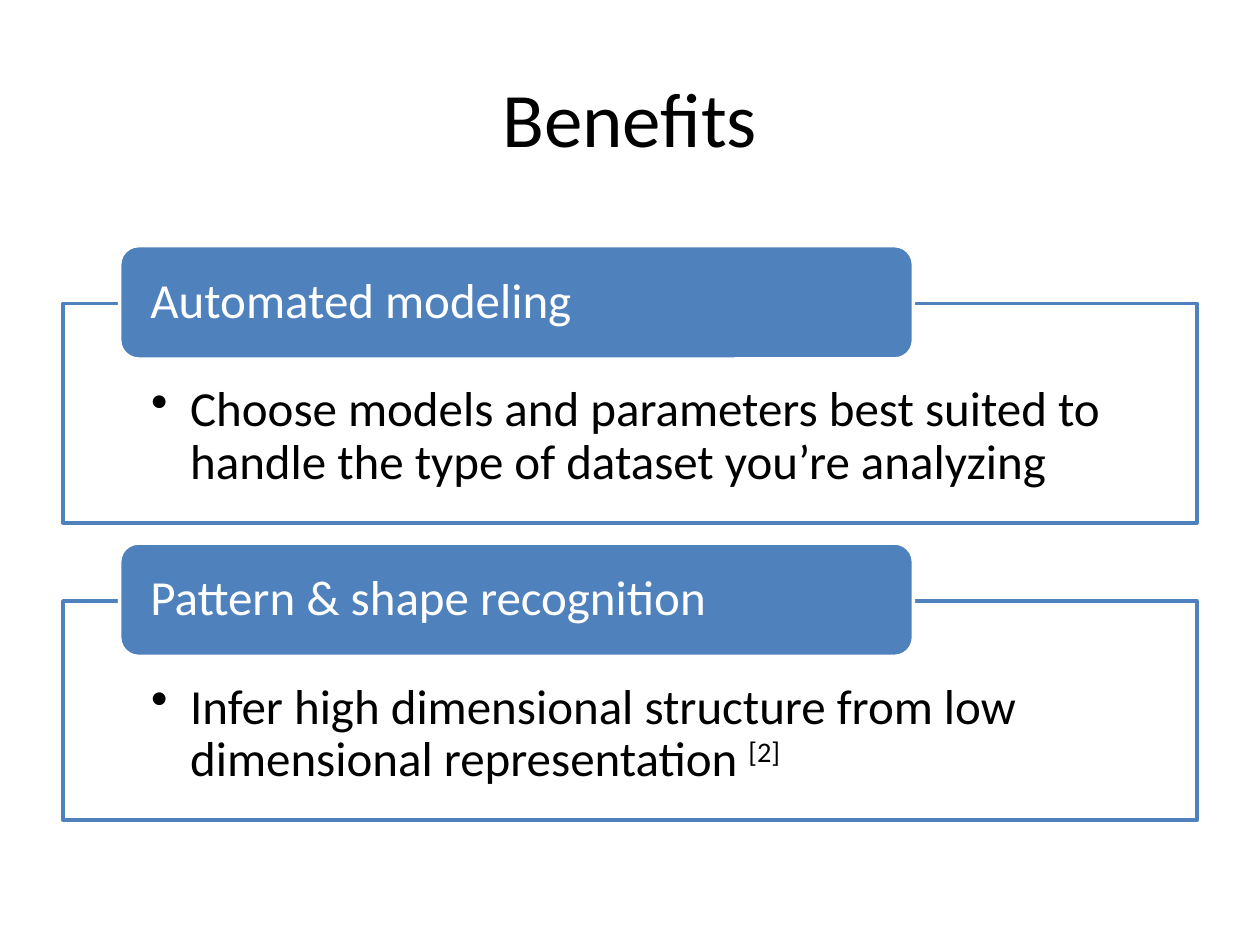
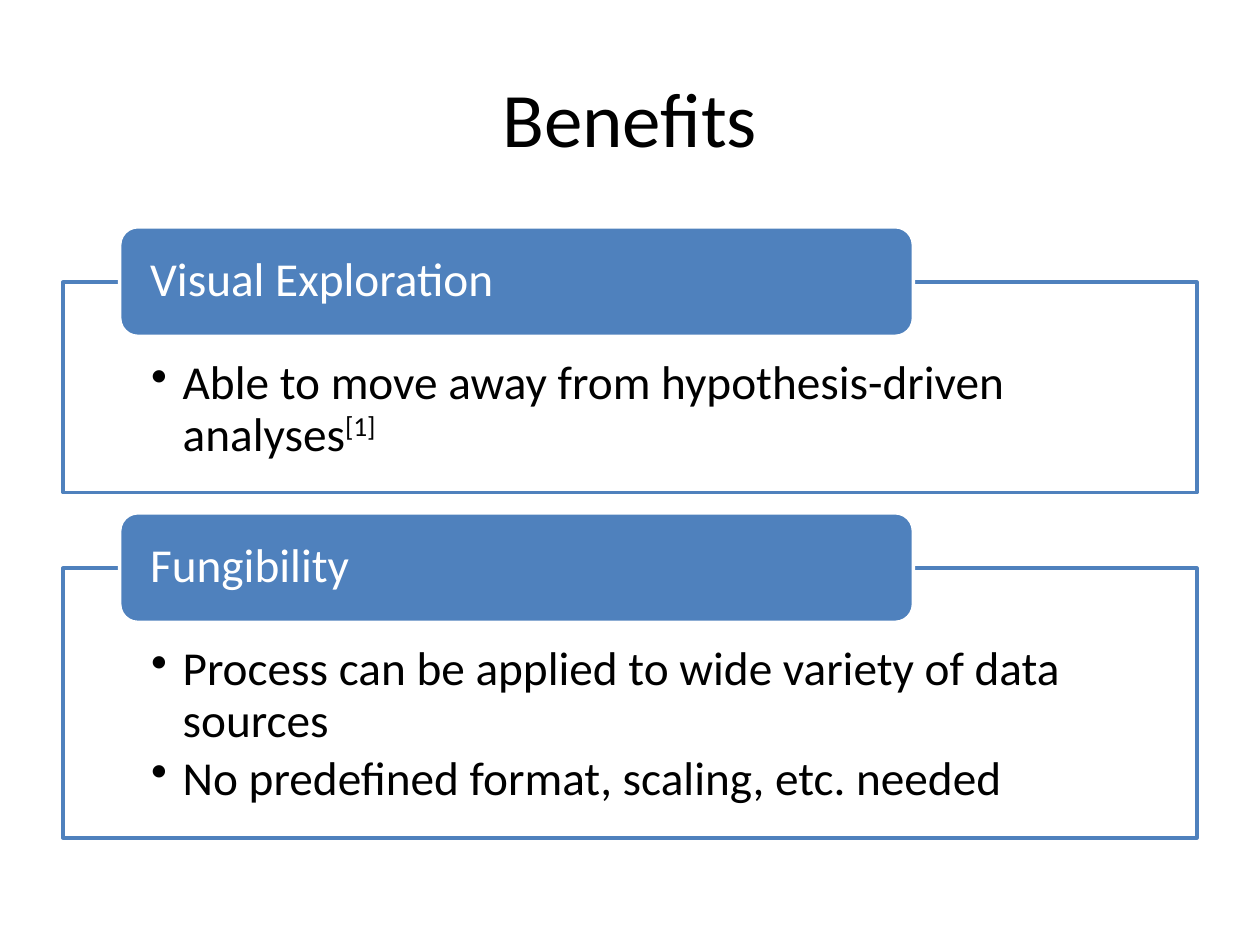
from dataclasses import dataclass

from lxml.etree import SubElement
from pptx import Presentation
from pptx.dml.color import RGBColor
from pptx.enum.shapes import MSO_SHAPE
from pptx.enum.text import MSO_ANCHOR, PP_ALIGN
from pptx.oxml.ns import qn
from pptx.shapes.autoshape import Shape
from pptx.slide import Slide
from pptx.text.text import TextFrame, _Paragraph
from pptx.util import Inches, Pt

BLUE = RGBColor(0x4F, 0x81, 0xBD)
WHITE = RGBColor(0xFF, 0xFF, 0xFF)
BLACK = RGBColor(0x00, 0x00, 0x00)
FONT = "Calibri"
TITLE_SIZE = 44
FRAME_LEFT, FRAME_WIDTH = 0.5, 9
TAB_LEFT, TAB_WIDTH = 0.95, 6.3
CARD_GAP = 0.16


@dataclass(frozen=True)
class Point:
    """A bullet with an optional superscript citation."""

    text: str
    citation: str = ""


@dataclass(frozen=True)
class Card:
    """A benefit with its heading, bullets and frame height."""

    heading: str
    points: tuple[Point, ...]
    frame_height: float


@dataclass(frozen=True)
class BenefitSlide:
    """The cards of one slide and the measures they share."""

    top: float
    tab_height: float
    tab_rise: float
    text_size: int
    bullet_indent: float
    inset_top: float
    inset_bottom: float
    cards: tuple[Card, ...]


BENEFIT_SLIDES = (
    BenefitSlide(1.95, 0.9, 0.46, 28, 0.31, 0.64, 0.22, (
        Card("Automated modeling", (
            Point("Choose models and parameters best suited to handle the type of dataset you’re analyzing"),
        ), 1.74),
        Card("Pattern & shape recognition", (
            Point("Infer high dimensional structure from low dimensional representation ", "[2]"),
        ), 1.74),
    )),
    BenefitSlide(1.8, 0.87, 0.44, 27, 0.25, 0.61, 0.21, (
        Card("Visual Exploration", (
            Point("Able to move away from hypothesis-driven analyses", "[1]"),
        ), 1.67),
        Card("Fungibility", (
            Point("Process can be applied to wide variety of data sources"),
            Point("No predefined format, scaling, etc. needed"),
        ), 2.14),
    )),
)


def style_paragraph(paragraph: _Paragraph, size: int, color: RGBColor,
                    align: PP_ALIGN = PP_ALIGN.LEFT) -> None:
    """Set the font and alignment of a paragraph."""
    paragraph.alignment = align
    paragraph.font.name = FONT
    paragraph.font.size = Pt(size)
    paragraph.font.color.rgb = color


def set_insets(text_frame: TextFrame, left: float, top: float, right: float, bottom: float) -> None:
    """Wrap the text and set its margins in inches."""
    text_frame.word_wrap = True
    text_frame.margin_left, text_frame.margin_top = Inches(left), Inches(top)
    text_frame.margin_right, text_frame.margin_bottom = Inches(right), Inches(bottom)


def add_box(slide: Slide, preset: MSO_SHAPE, left: float, top: float, width: float,
            height: float, fill: RGBColor, line: RGBColor) -> Shape:
    """Add a flat filled shape with a two-point outline."""
    box = slide.shapes.add_shape(preset, Inches(left), Inches(top), Inches(width), Inches(height))
    box.shadow.inherit = False
    box.fill.solid()
    box.fill.fore_color.rgb = fill
    box.line.color.rgb = line
    box.line.width = Pt(2)
    return box


def add_title(slide: Slide, title: str) -> None:
    """Add the centred slide title."""
    title_box = slide.shapes.add_textbox(Inches(0.5), Inches(0.3), Inches(9), Inches(1.25))
    text_frame = title_box.text_frame
    text_frame.word_wrap = True
    text_frame.vertical_anchor = MSO_ANCHOR.MIDDLE
    text_frame.text = title
    style_paragraph(text_frame.paragraphs[0], TITLE_SIZE, BLACK, PP_ALIGN.CENTER)


def write_point(paragraph: _Paragraph, point: Point, layout: BenefitSlide) -> None:
    """Write a bulleted point with its citation."""
    style_paragraph(paragraph, layout.text_size, BLACK)
    paragraph.line_spacing = 0.9
    paragraph.space_after = Pt(4)
    properties = paragraph._p.get_or_add_pPr()
    properties.set("marL", str(Inches(layout.bullet_indent)))
    properties.set("indent", str(-Inches(layout.bullet_indent)))
    bullet = properties.makeelement(qn("a:buChar"), {"char": "•"})
    properties.find(qn("a:defRPr")).addprevious(bullet)
    paragraph.add_run().text = point.text
    if point.citation:
        citation = paragraph.add_run()
        citation.text = point.citation
        citation._r.get_or_add_rPr().set("baseline", "30000")


def add_frame(slide: Slide, card: Card, layout: BenefitSlide, top: float) -> None:
    """Add the outlined frame holding the bullets."""
    frame = add_box(slide, MSO_SHAPE.RECTANGLE, FRAME_LEFT, top, FRAME_WIDTH,
                    card.frame_height, WHITE, BLUE)
    frame_color = frame._element.spPr.find(qn("a:solidFill"))[0]
    SubElement(frame_color, qn("a:alpha"), val="90000")
    text_frame = frame.text_frame
    set_insets(text_frame, 0.7, layout.inset_top, 0.7, layout.inset_bottom)
    text_frame.vertical_anchor = MSO_ANCHOR.TOP
    for index, point in enumerate(card.points):
        paragraph = text_frame.add_paragraph() if index else text_frame.paragraphs[0]
        write_point(paragraph, point, layout)


def add_tab(slide: Slide, heading: str, layout: BenefitSlide, top: float) -> None:
    """Add the rounded heading that overlaps the frame."""
    tab = add_box(slide, MSO_SHAPE.ROUNDED_RECTANGLE, TAB_LEFT, top, TAB_WIDTH,
                  layout.tab_height, BLUE, WHITE)
    text_frame = tab.text_frame
    set_insets(text_frame, 0.2, 0, 0.2, 0)
    text_frame.vertical_anchor = MSO_ANCHOR.MIDDLE
    text_frame.text = heading
    style_paragraph(text_frame.paragraphs[0], layout.text_size, WHITE)
    text_frame.paragraphs[0].line_spacing = 0.9


def add_cards(slide: Slide, layout: BenefitSlide) -> None:
    """Stack the cards down the slide with equal gaps."""
    tab_top = layout.top
    for card in layout.cards:
        frame_top = tab_top + layout.tab_rise
        add_frame(slide, card, layout, frame_top)
        add_tab(slide, card.heading, layout, tab_top)
        tab_top = frame_top + card.frame_height + CARD_GAP


def main() -> None:
    """Build and save the presentation."""
    presentation = Presentation()
    presentation.slide_width, presentation.slide_height = Inches(10), Inches(7.5)
    for layout in BENEFIT_SLIDES:
        slide = presentation.slides.add_slide(presentation.slide_layouts[6])
        add_title(slide, "Benefits")
        add_cards(slide, layout)
    presentation.save("out.pptx")


if __name__ == "__main__":
    main()
